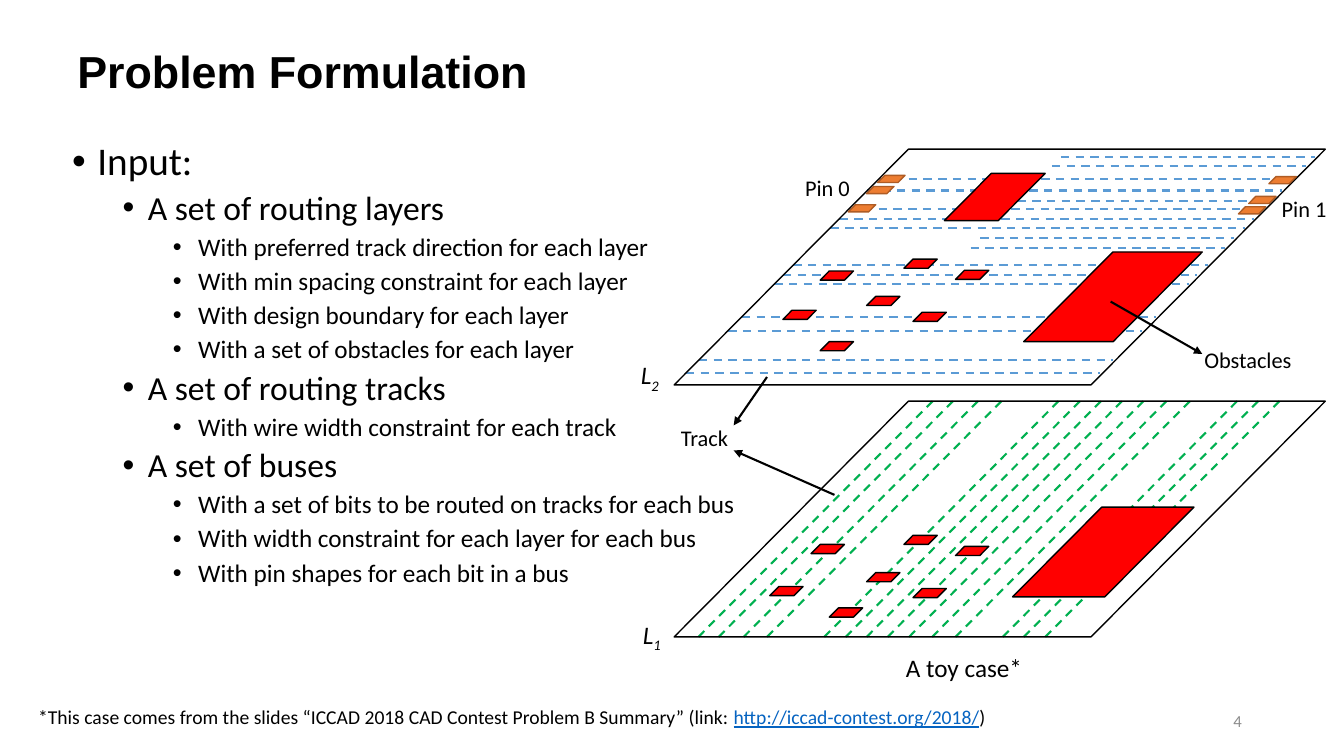
"""Builds the slide that states the routing problem and its toy case."""
from lxml import etree
from pptx import Presentation, util as u
from pptx.dml.color import RGBColor
from pptx.enum import dml, shapes, text
from pptx.oxml.ns import qn

BLACK, RED, BLUE, GREEN = "000000", "FF0000", "5B9BD5", "00B050"
ORANGE, BROWN, GREY, LINK = "ED7D31", "AF5C24", "8C8C8C", "0563C1"
SLANT = 0.994
LAYER_W, LAYER_H = 16.41, 5.94
RUN = SLANT * LAYER_H
LEVELS = [(28, 10), (24, 5), (18, 5)]

BULLETS = [
    (0, "Input:"),
    (1, "A set of routing layers"),
    (2, "With preferred track direction for each layer"),
    (2, "With min spacing constraint for each layer"),
    (2, "With design boundary for each layer"),
    (2, "With a set of obstacles for each layer"),
    (1, "A set of routing tracks"),
    (2, "With wire width constraint for each track"),
    (1, "A set of buses"),
    (2, "With a set of bits to be routed on tracks for each bus"),
    (2, "With width constraint for each layer for each bus"),
    (2, "With pin shapes for each bit in a bus"),
]

L1_TRACKS = [0.61, 1.12, 1.75, 2.34, 3.78, 4.32, 4.85,
             5.38, 5.92, 6.5, 7.09, 8.28, 8.81, 9.35]
L1_SMALL = [(3.45, 3.61), (2.41, 4.67), (5.79, 3.38), (4.85, 4.32),
            (3.91, 5.21), (6.02, 4.72), (7.09, 3.66)]
L1_LARGE = [(8.53, 2.67, 4.57, 2.26)]

L2_LONG = [0.74, 1.04, 1.5, 1.75, 1.98, 2.92, 3.18, 3.4, 4.22, 4.57, 5.31, 5.64]
L2_SHORT = [0.2, 0.43, 1.3, 2.24, 2.49]
L2_SMALL = [(3.68, 3.07), (2.74, 4.06), (5.79, 2.77), (4.85, 3.71),
            (3.68, 4.85), (6.02, 4.11), (7.09, 3.05)]
L2_LARGE = [(8.81, 2.59, 4.5, 2.26), (6.81, 0.61, 2.54, 1.19)]
PINS = [(14.99, 0.69), (14.48, 1.19), (14.22, 1.45),
        (4.39, 1.4), (4.85, 0.94), (5.13, 0.66)]


def rgb(value):
    """Return the colour of a hex string."""
    return RGBColor.from_string(value)


def add_run(p, content, size=16, color=BLACK, font="Calibri", bold=False,
            italic=False, underline=False, baseline=0):
    """Add a formatted run to a paragraph."""
    r = p.add_run()
    r.text = content
    f = r.font
    f.size, f.name, f.bold, f.italic = u.Pt(size), font, bold, italic
    f.underline = underline
    f.color.rgb = rgb(color)
    if baseline:
        r._r.get_or_add_rPr().set("baseline", str(baseline))


def add_box(s, x, y, w, h, wrap=True, anchor=text.MSO_ANCHOR.TOP):
    """Add an empty text box and return its text frame."""
    tf = s.shapes.add_textbox(u.Cm(x), u.Cm(y), u.Cm(w), u.Cm(h)).text_frame
    tf.word_wrap, tf.vertical_anchor = wrap, anchor
    return tf


def add_label(s, x, y, w, h, content, align=text.PP_ALIGN.LEFT,
              anchor=text.MSO_ANCHOR.TOP, **fmt):
    """Add a text box that holds one run."""
    p = add_box(s, x, y, w, h, anchor=anchor).paragraphs[0]
    p.alignment = align
    add_run(p, content, **fmt)


def add_line(s, x1, y1, x2, y2, color=BLACK, dash=False, arrow=False):
    """Add a straight line, dashed or with an arrowhead on request."""
    cn = s.shapes.add_connector(shapes.MSO_CONNECTOR.STRAIGHT,
                                u.Cm(x1), u.Cm(y1), u.Cm(x2), u.Cm(y2))
    cn.line.color.rgb, cn.line.width = rgb(color), u.Pt(1.5)
    if dash:
        cn.line.dash_style = dml.MSO_LINE.DASH
    if arrow:
        etree.SubElement(cn.line._get_or_add_ln(), qn("a:tailEnd"), type="triangle")
    etree.SubElement(cn._element.spPr, qn("a:effectLst"))


def add_slanted(s, x, y, w, h, fill=None, line=BLACK):
    """Add a parallelogram with the slant shared by the whole figure."""
    sp = s.shapes.add_shape(shapes.MSO_SHAPE.PARALLELOGRAM,
                            u.Cm(x), u.Cm(y), u.Cm(w), u.Cm(h))
    sp.adjustments[0] = SLANT
    sp.shadow.inherit = False
    if fill:
        sp.fill.solid()
        sp.fill.fore_color.rgb = rgb(fill)
    else:
        sp.fill.background()
    sp.line.color.rgb, sp.line.width = rgb(line), u.Pt(1)


def add_layer(s, x, y, tracks, color, small, large, pins=()):
    """Draw one routing layer with its tracks, obstacles and pins."""
    for x1, y1, x2, y2 in tracks:
        add_line(s, x + x1, y + y1, x + x2, y + y2, color, dash=True)
    add_slanted(s, x, y, LAYER_W, LAYER_H)
    for dx, dy, w, h in large + [(*at, 0.84, 0.23) for at in small]:
        add_slanted(s, x + dx, y + dy, w, h, RED)
    for dx, dy in pins:
        add_slanted(s, x + dx, y + dy, 0.69, 0.18, ORANGE, BROWN)


def horizontal_track(dy, length):
    """Return a track of the given length that ends at the right edge."""
    end = RUN * (1 - dy / LAYER_H) + 10.44
    return end - length, dy, end, dy


def add_layer_name(s, x, y, number):
    """Add a layer name with its subscript."""
    p = add_box(s, x, y, 1, 0.93, wrap=False).paragraphs[0]
    add_run(p, "L", size=18, italic=True)
    add_run(p, number, size=18, italic=True, baseline=-25000)


def add_toy_case(s, x, y):
    """Draw both layers with their labels and arrows."""
    slanted = [(dx + RUN, 0, dx, LAYER_H) for dx in L1_TRACKS]
    level = ([horizontal_track(dy, 10.44) for dy in L2_LONG]
             + [horizontal_track(dy, 6.4) for dy in L2_SHORT])
    add_layer(s, x, y + 6.35, slanted, GREEN, L1_SMALL, L1_LARGE)
    add_layer(s, x, y, level, BLUE, L2_SMALL, L2_LARGE, PINS)
    add_layer_name(s, x - 1.09, y + 5.18, "2")
    add_layer_name(s, x - 1.04, y + 11.71, "1")
    for x1, y1, x2, y2 in [(2.34, 5.74, 1.5, 6.96), (4.04, 8.71, 1.5, 7.59),
                           (11, 3.84, 13.31, 5.16)]:
        add_line(s, x + x1, y + y1, x + x2, y + y2, arrow=True)
    for dx, dy, w, content in [(3.05, 0.51, 1.78, "Pin 0"), (15.06, 1.04, 1.78, "Pin 1"),
                               (-0.08, 6.81, 1.78, "Track"), (13.11, 4.83, 3, "Obstacles")]:
        add_label(s, x + dx, y + dy, w, 0.94, content)
    add_label(s, x + 5.59, y + 12.55, 3.99, 1.02, "A toy case*", size=18)


def add_bullets(s, x, y, w, h):
    """Add the three-level list of inputs."""
    tf = add_box(s, x, y, w, h)
    for i, (level, content) in enumerate(BULLETS):
        p = tf.paragraphs[0] if i == 0 else tf.add_paragraph()
        size, before = LEVELS[level]
        p.level, p.line_spacing, p.space_before = level, 0.9, u.Pt(before)
        pPr = p._p.get_or_add_pPr()
        pPr.set("marL", str(u.Cm(0.635 + 1.27 * level)))
        pPr.set("indent", str(u.Cm(-0.635)))
        etree.SubElement(pPr, qn("a:buFont"), typeface="Arial")
        etree.SubElement(pPr, qn("a:buChar"), char="•")
        add_run(p, content, size=size)


def add_footer(s, x, y):
    """Add the source note and the slide number."""
    add_label(s, x + 23.22, y, 7.62, 1.02, "4", align=text.PP_ALIGN.RIGHT,
              anchor=text.MSO_ANCHOR.MIDDLE, size=12, color=GREY)
    p = add_box(s, x, y, 28.02, 0.86).paragraphs[0]
    add_run(p, "*This case comes from the slides “ICCAD 2018 CAD Contest "
               "Problem B Summary” (link: ", size=14)
    add_run(p, "http://iccad-contest.org/2018/", size=14, color=LINK, underline=True)
    add_run(p, ")", size=14)


def main():
    """Build the slide and save it."""
    prs = Presentation()
    prs.slide_width, prs.slide_height = u.Cm(33.87), u.Cm(19.05)
    s = prs.slides.add_slide(prs.slide_layouts[6])
    add_footer(s, 0.71, 17.65)
    add_label(s, 1.7, 0.18, 32.17, 3.18, "Problem Formulation", size=32,
              font="Arial", bold=True, anchor=text.MSO_ANCHOR.MIDDLE)
    add_bullets(s, 1.57, 3.45, 17.25, 13.21)
    add_toy_case(s, 16.99, 3.76)
    prs.save("out.pptx")


if __name__ == "__main__":
    main()
